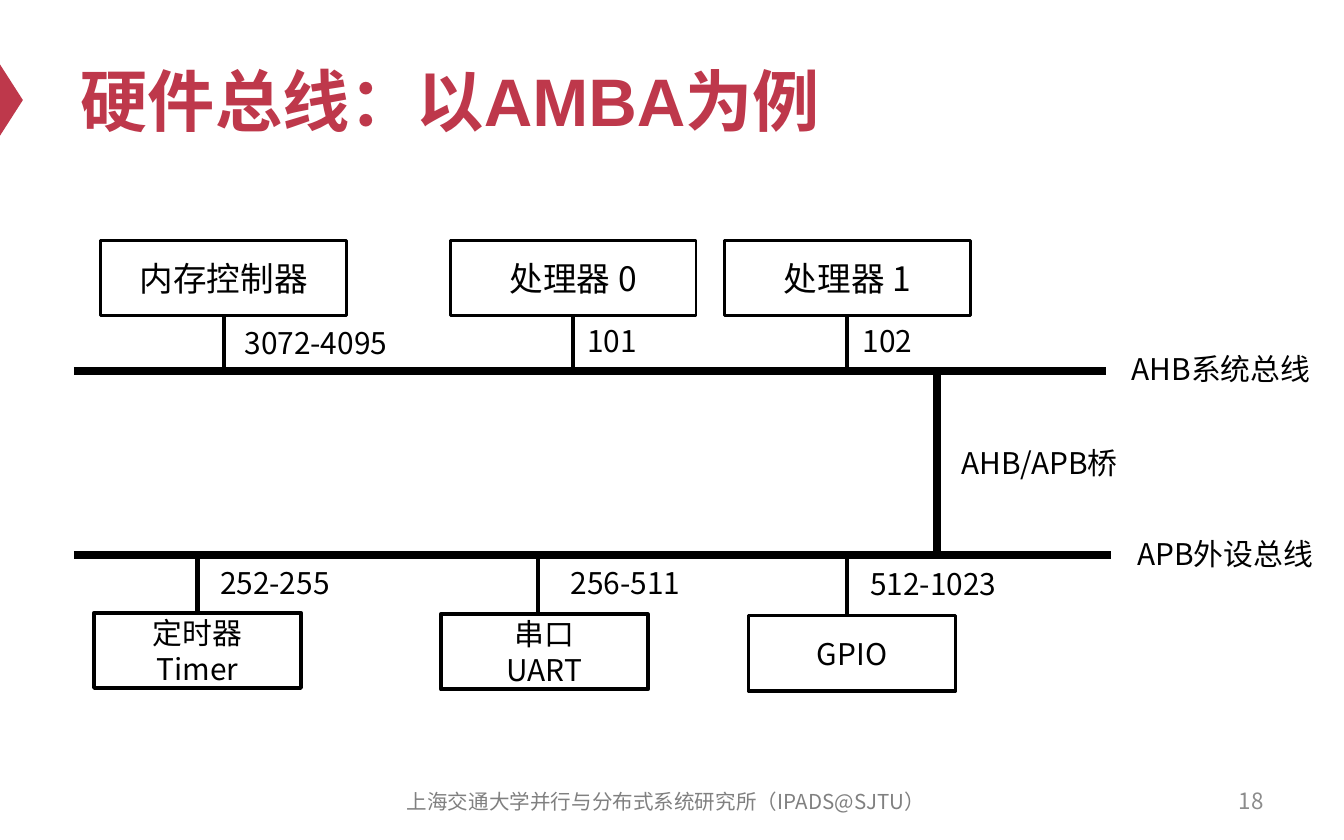
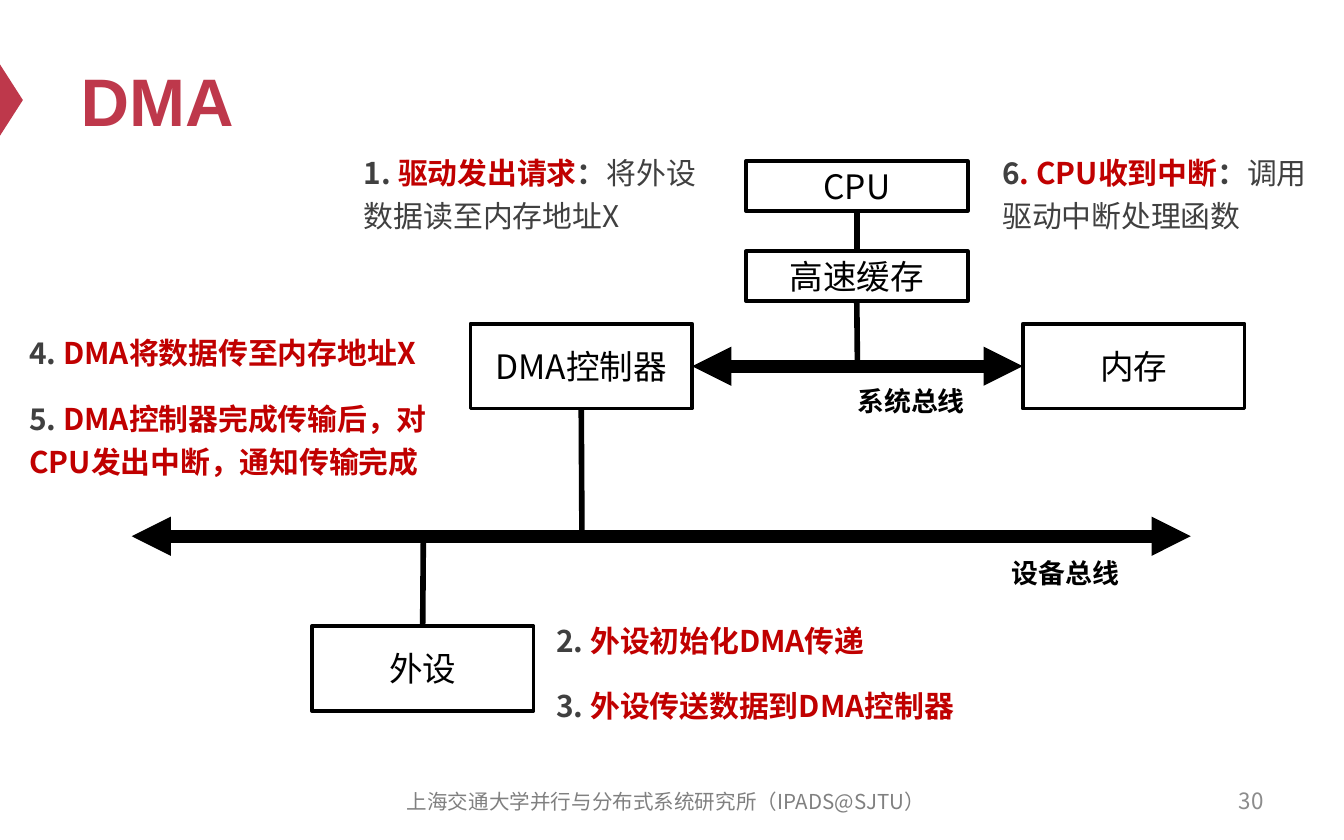
from lxml import etree
from pptx import Presentation
from pptx.dml.color import RGBColor
from pptx.enum.shapes import MSO_CONNECTOR, MSO_SHAPE
from pptx.enum.text import MSO_ANCHOR, MSO_AUTO_SIZE, PP_ALIGN
from pptx.oxml.ns import qn
from pptx.util import Inches, Pt

STRAIGHT = MSO_CONNECTOR.STRAIGHT
RECTANGLE, TRIANGLE = MSO_SHAPE.RECTANGLE, MSO_SHAPE.ISOSCELES_TRIANGLE
LEFT, CENTER, RIGHT = PP_ALIGN.LEFT, PP_ALIGN.CENTER, PP_ALIGN.RIGHT
TOP, MIDDLE = MSO_ANCHOR.TOP, MSO_ANCHOR.MIDDLE
NO_FIT, GROW = MSO_AUTO_SIZE.NONE, MSO_AUTO_SIZE.SHAPE_TO_FIT_TEXT
SIDE_TOP, SIDE_LEFT, SIDE_BOTTOM, SIDE_RIGHT = range(4)
TITLE_ONLY = 5

BODY_FONT, TITLE_FONT = "Noto Sans CJK SC", "Arial"
CRIMSON, RED, DARK = "BE384B", "C00000", "404040"
BLACK, WHITE, FOOTER_GREY, NUMBER_GREY = "000000", "FFFFFF", "808080", "8C8C8C"
INSTITUTE = "上海交通大学并行与分布式系统研究所（IPADS@SJTU）"


def rgb(value):
    return RGBColor.from_string(value)


def inches(*lengths):
    return [Inches(length) for length in lengths]


class Deck:
    def __init__(self):
        self.prs = Presentation()
        self.prs.slide_width, self.prs.slide_height = inches(10, 6.25)
        self.slide = None

    def start(self, title, number):
        """Begin a slide with its title, side marker, number and footer."""
        self.slide = self.prs.slides.add_slide(
            self.prs.slide_layouts[TITLE_ONLY])
        marker = self.slide.shapes.add_shape(
            TRIANGLE, *inches(-0.18, 0.66, 0.53, 0.17))
        marker.rotation = 90
        marker.shadow.inherit = False
        marker.fill.solid()
        marker.fill.fore_color.rgb = rgb(CRIMSON)
        marker.line.fill.background()

        heading = self.slide.shapes.title
        heading.left, heading.top, heading.width, heading.height = inches(
            0.5, 0.25, 9, 0.98)
        frame = heading.text_frame
        frame.auto_size, frame.vertical_anchor = NO_FIT, MIDDLE
        frame.paragraphs[0].alignment = LEFT
        self.run(frame.paragraphs[0], title, 36, CRIMSON, True, TITLE_FONT)

        self.label(number, 7.17, 5.79, 2.33, 0.33, 12, NUMBER_GREY,
                   RIGHT, MIDDLE, NO_FIT)
        self.label(INSTITUTE, 2.79, 5.8, 4.33, 0.33, 11, FOOTER_GREY,
                   CENTER, MIDDLE, NO_FIT)

    def run(self, paragraph, text, size, color, bold=False, font=BODY_FONT):
        run = paragraph.add_run()
        run.text = text
        run.font.size, run.font.bold, run.font.name = Pt(size), bold, font
        run.font.color.rgb = rgb(color)
        east_asian = etree.SubElement(run.font._element, qn("a:ea"))
        east_asian.set("typeface", BODY_FONT)

    def text_frame(self, x, y, width, height, anchor=TOP, fit=NO_FIT):
        frame = self.slide.shapes.add_textbox(
            *inches(x, y, width, height)).text_frame
        frame.word_wrap, frame.vertical_anchor = True, anchor
        frame.auto_size = fit
        return frame

    def label(self, text, x, y, width, height=0.37, size=16, color=BLACK,
              align=CENTER, anchor=TOP, fit=GROW):
        frame = self.text_frame(x, y, width, height, anchor, fit)
        frame.paragraphs[0].alignment = align
        self.run(frame.paragraphs[0], text, size, color)

    def bus_name(self, text, x, y):
        frame = self.text_frame(x, y, 1.01, 0.34, fit=GROW)
        frame.word_wrap = False
        self.run(frame.paragraphs[0], text, 14.4, BLACK, True)

    def steps(self, paragraphs, x, y, width, height):
        """Numbered notes; each paragraph is a list of (text, colour, bold)."""
        frame = self.text_frame(x, y, width, height)
        for index, parts in enumerate(paragraphs):
            paragraph = frame.add_paragraph() if index else frame.paragraphs[0]
            paragraph.line_spacing = 1.2
            paragraph.space_before = Pt(12 if index else 0)
            for text, color, bold in parts:
                self.run(paragraph, text, 16, color, bold)

    def box(self, lines, x, y, width, height, size=18, weight=2, fill=None):
        box = self.slide.shapes.add_shape(
            RECTANGLE, *inches(x, y, width, height))
        box.shadow.inherit = False
        if fill:
            box.fill.solid()
            box.fill.fore_color.rgb = rgb(fill)
        else:
            box.fill.background()
        box.line.color.rgb, box.line.width = rgb(BLACK), Pt(weight)
        frame = box.text_frame
        frame.word_wrap, frame.vertical_anchor = True, MIDDLE
        for index, line in enumerate(lines):
            paragraph = frame.add_paragraph() if index else frame.paragraphs[0]
            paragraph.alignment = CENTER
            self.run(paragraph, line, size, BLACK)
        return box

    def line(self, x1, y1, x2, y2, weight, arrows=False, begin=None, end=None):
        """Straight line; begin and end are optional (box, side) joints."""
        line = self.slide.shapes.add_connector(
            STRAIGHT, *inches(x1, y1, x2, y2))
        line.line.color.rgb, line.line.width = rgb(BLACK), Pt(weight)
        if arrows:
            outline = line.line._get_or_add_ln()
            for tip in ("a:headEnd", "a:tailEnd"):
                etree.SubElement(outline, qn(tip)).set("type", "triangle")
        etree.SubElement(line._element.spPr, qn("a:effectLst"))
        if begin:
            line.begin_connect(*begin)
        if end:
            line.end_connect(*end)


def amba_slide(deck):
    deck.start("硬件总线：以AMBA为例", "18")
    ahb_y, apb_y = 2.76, 4.13
    deck.line(0.55, ahb_y, 8.23, ahb_y, 4.5)
    deck.line(0.55, apb_y, 8.27, apb_y, 4.5)
    deck.line(6.97, ahb_y, 6.97, apb_y, 4.5)

    masters = [
        ("内存控制器", 0.75, "3072-4095", 1.62, 2.37, 1.46),
        ("处理器 0", 3.35, "101", 4.18, 2.35, 0.75),
        ("处理器 1", 5.39, "102", 6.23, 2.35, 0.75),
    ]
    for name, x, address, address_x, address_y, address_width in masters:
        master = deck.box([name], x, 1.79, 1.83, 0.56, weight=1.5)
        center = x + 1.83 / 2
        deck.line(center, 2.35, center, ahb_y, 2.25,
                  begin=(master, SIDE_BOTTOM))
        deck.label(address, address_x, address_y, address_width)

    peripherals = [
        (["定时器", "Timer"], 0.7, 4.56, 1.47, "252-255", 1.42, 4.15),
        (["串口", "UART"], 3.28, 4.57, 4, "256-511", 4.03, 4.15),
        (["GPIO"], 5.57, 4.58, 6.3, "512-1023", 6.32, 4.16),
    ]
    for lines, x, y, stub_x, address, address_x, address_y in peripherals:
        peripheral = deck.box(lines, x, y, 1.54, 0.56, 16, fill=WHITE)
        centered = abs(stub_x - x - 1.54 / 2) < 0.01
        deck.line(stub_x, apb_y, stub_x, y, 2.25,
                  end=(peripheral, SIDE_TOP) if centered else None)
        deck.label(address, address_x, address_y, 1.25)

    deck.label("AHB系统总线", 8.27, 2.56, 1.63)
    deck.label("APB外设总线", 8.27, 3.94, 1.69)
    deck.label("AHB/APB桥", 6.92, 3.26, 1.63)


def dma_slide(deck):
    deck.start("DMA", "30")
    system_y, device_y = 2.73, 3.99
    width, low, high = 1.65, 0.37, 0.63
    cpu = deck.box(["CPU"], 5.55, 1.2, width, low)
    cache = deck.box(["高速缓存"], 5.55, 1.87, width, low)
    memory = deck.box(["内存"], 7.61, 2.41, width, high)
    controller = deck.box(["DMA控制器"], 3.5, 2.41, width, high)
    device = deck.box(["外设"], 2.32, 4.66, width, high)

    deck.line(5.15, system_y, 7.61, system_y, 7, True,
              (controller, SIDE_RIGHT), (memory, SIDE_LEFT))
    deck.line(0.98, device_y, 8.86, device_y, 7, True)
    deck.line(6.38, 1.57, 6.38, 1.87, 3,
              begin=(cpu, SIDE_BOTTOM), end=(cache, SIDE_TOP))
    stubs = [
        (cache, SIDE_BOTTOM, 6.38, 2.24, system_y),
        (controller, SIDE_BOTTOM, 4.33, 3.04, device_y),
        (device, SIDE_TOP, 3.15, 4.66, device_y),
    ]
    for box, side, x, y, bus_y in stubs:
        deck.line(x, y, x, bus_y, 3, begin=(box, side))
    deck.bus_name("系统总线", 6.28, 2.81)
    deck.bus_name("设备总线", 7.43, 4.09)

    deck.steps([[("1. ", DARK, True), ("驱动发出请求", RED, True),
                 ("：", DARK, True),
                 ("将外设数据读至内存地址X", DARK, False)]],
               2.61, 1.05, 2.79, 0.69)
    deck.steps([[("2. ", DARK, True), ("外设初始化DMA传递", RED, True)],
                [("3. ", DARK, True), ("外设传送数据到DMA控制器", RED, True)]],
               4.04, 4.53, 3.55, 0.89)
    deck.steps([[("4. ", DARK, True), ("DMA将数据传至内存地址X", RED, True)],
                [("5. ", DARK, True),
                 ("DMA控制器完成传输后，对CPU发出中断，通知传输完成",
                  RED, True)]],
               0.12, 2.39, 3.33, 1.2)
    deck.steps([[("6", DARK, True), (". CPU收到中断", RED, True),
                 ("：", DARK, True),
                 ("调用驱动中断处理函数", DARK, False)]],
               7.36, 1.05, 2.52, 1.2)


def main():
    deck = Deck()
    amba_slide(deck)
    dma_slide(deck)
    deck.prs.save("out.pptx")


if __name__ == "__main__":
    main()
